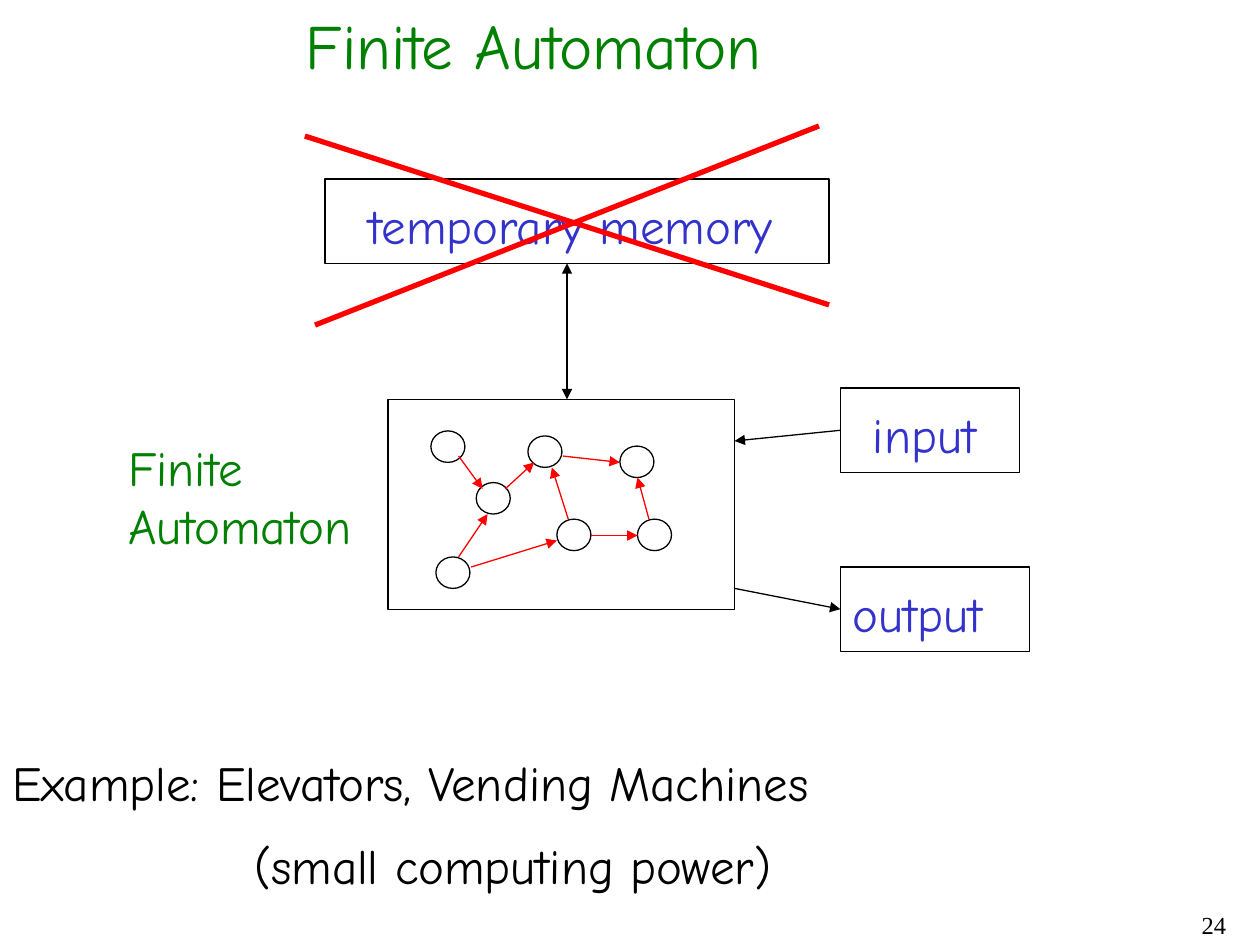
from lxml import etree
from pptx import Presentation
from pptx.dml.color import RGBColor
from pptx.enum.shapes import MSO_CONNECTOR, MSO_SHAPE
from pptx.enum.text import PP_ALIGN
from pptx.oxml.ns import qn
from pptx.util import Inches, Pt

BLACK = RGBColor(0x00, 0x00, 0x00)
BLUE = RGBColor(0x33, 0x33, 0xCC)
GREEN = RGBColor(0x00, 0x80, 0x00)
RED = RGBColor(0xFF, 0x00, 0x00)
LEFT, RIGHT = PP_ALIGN.LEFT, PP_ALIGN.RIGHT
RECTANGLE, OVAL = MSO_SHAPE.RECTANGLE, MSO_SHAPE.OVAL
STRAIGHT = MSO_CONNECTOR.STRAIGHT
LEFT_SIDE = 1

STATE_WIDTH, STATE_HEIGHT = 0.27, 0.25
STATES = [(0.34, 0.25), (0.70, 0.66), (1.11, 0.29), (1.34, 0.95),
          (1.84, 0.37), (0.38, 1.25), (1.98, 0.95)]
TRANSITIONS = [((0.56, 0.45), (0.75, 0.71)), ((0.93, 0.71), (1.16, 0.50)),
               ((1.39, 0.45), (1.84, 0.50)), ((1.43, 0.95), (1.30, 0.54)),
               ((0.56, 1.25), (0.79, 0.91)), ((0.66, 1.33), (1.34, 1.12)),
               ((1.61, 1.08), (1.98, 1.08)), ((2.07, 0.95), (1.98, 0.62))]


def add_text(slide, box, text, size=28, color=BLACK, font="Comic Neue",
             align=LEFT, indents=(0,)):
    shape = slide.shapes.add_textbox(*map(Inches, box))
    frame = shape.text_frame
    frame.word_wrap = True
    frame.text = text
    for index, (paragraph, indent) in enumerate(zip(frame.paragraphs, indents)):
        paragraph.alignment = align
        if index:
            paragraph.space_before = Pt(size / 2)
        if indent:
            paragraph._p.get_or_add_pPr().set("marL", str(Inches(indent)))
        paragraph.font.size = Pt(size)
        paragraph.font.name = font
        paragraph.font.color.rgb = color


def add_outline(shapes, kind, box):
    shape = shapes.add_shape(kind, *map(Inches, box))
    shape.shadow.inherit = False
    shape.fill.background()
    shape.line.color.rgb = BLACK
    shape.line.width = Pt(0.75)
    return shape


def add_line(shapes, start, end, color=BLACK, width=0.75, arrows=()):
    connector = shapes.add_connector(STRAIGHT, *map(Inches, start + end))
    connector.line.color.rgb = color
    connector.line.width = Pt(width)
    line = connector.line._get_or_add_ln()
    for arrow in arrows:
        etree.SubElement(line, qn(f"a:{arrow}"), type="triangle")
    etree.SubElement(connector._element.spPr, qn("a:effectLst"))
    return connector


def add_labelled_box(slide, box, text, text_offset, text_width):
    left, top, _, _ = box
    shape = add_outline(slide.shapes, RECTANGLE, box)
    add_text(slide, (left + text_offset, top + 0.08, text_width, 0.57),
             text, color=BLUE)
    return shape


def add_cross(slide, box):
    left, top, width, height = box
    add_line(slide.shapes, (left, top + 0.08),
             (left + width, top + height - 0.16), RED, 3)
    add_line(slide.shapes, (left + 0.08, top + height),
             (left + width - 0.08, top), RED, 3)


def add_state_diagram(slide, box):
    left, top, _, _ = box
    group = slide.shapes.add_group_shape()
    for x, y in STATES:
        add_outline(group.shapes, OVAL,
                    (left + x, top + y, STATE_WIDTH, STATE_HEIGHT))
    for (x1, y1), (x2, y2) in TRANSITIONS:
        add_line(group.shapes, (left + x1, top + y1), (left + x2, top + y2),
                 RED, arrows=("tailEnd",))


def add_machine(slide, box):
    left, top, width, _ = box
    right = left + width
    add_labelled_box(slide, (left - 0.5, top - 1.75, 4, 0.67),
                     "temporary memory", 0.25, 3.62)
    input_box = add_labelled_box(slide, (right + 0.84, top - 0.09, 1.42, 0.67),
                                 "input", 0.16, 1.11)
    output_box = add_labelled_box(slide, (right + 0.84, top + 1.33, 1.5, 0.67),
                                  "output", 0, 1.39)
    add_line(slide.shapes, (left + 1.42, top - 1.08), (left + 1.42, top),
             arrows=("headEnd", "tailEnd"))
    input_arrow = add_line(slide.shapes, (right + 0.84, top + 0.25),
                           (right, top + 0.33), arrows=("tailEnd",))
    input_arrow.begin_connect(input_box, LEFT_SIDE)
    output_arrow = add_line(slide.shapes, (right, top + 1.5),
                            (right + 0.84, top + 1.66), arrows=("tailEnd",))
    output_arrow.end_connect(output_box, LEFT_SIDE)
    add_outline(slide.shapes, RECTANGLE, box)
    add_text(slide, (left - 2.16, top + 0.25, 2.33, 1.03),
             "Finite Automaton", color=GREEN)
    add_cross(slide, (left - 0.66, top - 2.17, 4.16, 1.58))
    add_state_diagram(slide, box)


def main():
    presentation = Presentation()
    presentation.slide_width = Inches(10)
    presentation.slide_height = Inches(7.5)
    slide = presentation.slides.add_slide(presentation.slide_layouts[6])
    add_text(slide, (2.33, 0, 4.24, 0.7), "Finite Automaton",
             size=36, color=GREEN)
    add_machine(slide, (3.08, 3.17, 2.75, 1.67))
    add_text(slide, (0, 5.92, 7.44, 1.27),
             "Example: Elevators, Vending Machines\n(small computing power)",
             indents=(0, 1.92))
    add_text(slide, (7.75, 7.17, 2.08, 0.33), "24", size=14,
             font="Times New Roman", align=RIGHT)
    presentation.save("out.pptx")


if __name__ == "__main__":
    main()
